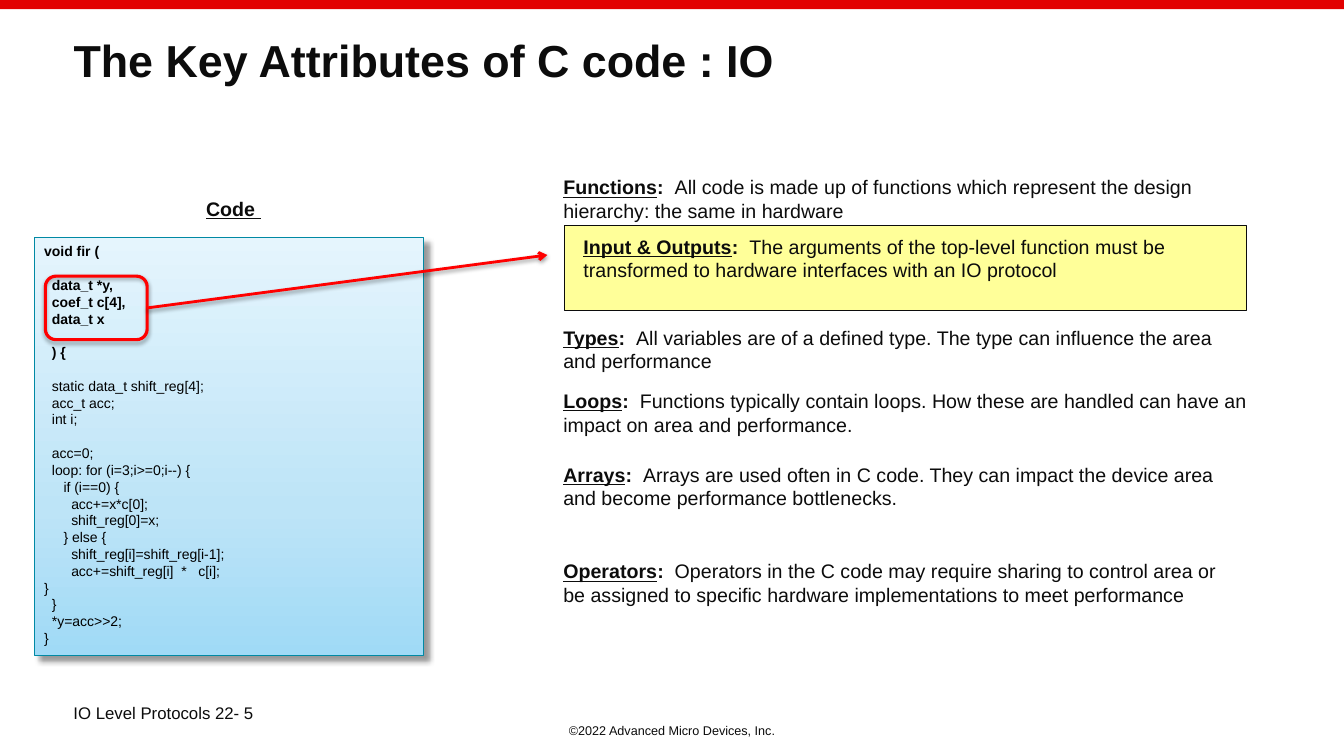
from copy import deepcopy
from dataclasses import dataclass

from lxml import etree
from pptx import Presentation
from pptx.dml.color import RGBColor
from pptx.enum.shapes import MSO_CONNECTOR, MSO_SHAPE
from pptx.enum.text import MSO_ANCHOR, PP_ALIGN
from pptx.oxml.ns import qn
from pptx.util import Inches, Pt

RECTANGLE, ROUNDED = MSO_SHAPE.RECTANGLE, MSO_SHAPE.ROUNDED_RECTANGLE
STRAIGHT = MSO_CONNECTOR.STRAIGHT
TOP = MSO_ANCHOR.TOP
LEFT, CENTER = PP_ALIGN.LEFT, PP_ALIGN.CENTER
CELL = Inches(0.25)
RIGHT_SIDE = 3


@dataclass(frozen=True)
class Theme:
    """Colours, font and type sizes of the slide."""
    font: str = "Arial"
    ink: str = "0C0C0C"
    black: str = "000000"
    bar: str = "E20000"
    mark: str = "FF0000"
    highlight: str = "FFFF99"
    panel_line: str = "0089A4"
    panel_stops: tuple = ((0, "A0DAF6"), (0.35, "BDE4F7"), (1, "E5F5FD"))
    title: int = 32
    body: int = 14
    footer: int = 12
    code: int = 10
    copyright: int = 9
    code_gap: int = 12


THEME = Theme()


@dataclass(frozen=True)
class Box:
    """A rectangle measured in grid cells."""
    left: float
    top: float
    width: float
    height: float

    def inner(self, left, top, width, height):
        """Return a box placed relative to this one."""
        return Box(self.left + left, self.top + top, width, height)

    def frame(self):
        """Return the box as slide lengths."""
        return [round(n * CELL) for n in (self.left, self.top, self.width, self.height)]


PAGE = Box(0, 0, 53.33, 30)
CODE_AREA = PAGE.inner(1.36, 7.6, 15.44, 18.4)
ATTRIBUTE_AREA = PAGE.inner(21.96, 6.76, 29.12, 17.52)

BOLD_CODE = """void fir (

  data_t *y,
  coef_t c[4],
  data_t x

  ) {"""

PLAIN_CODE = """  static data_t shift_reg[4];
  acc_t acc;
  int i;

  acc=0;
  loop: for (i=3;i>=0;i--) {
     if (i==0) {
       acc+=x*c[0];
       shift_reg[0]=x;
     } else {
       shift_reg[i]=shift_reg[i-1];
       acc+=shift_reg[i]  *   c[i];
}
  }
  *y=acc>>2;
}"""

ATTRIBUTES = [
    (0, 0, 27.32, "Functions", "All code is made up of functions which represent "
     "the design hierarchy: the same in hardware"),
    (0.8, 2.36, 27.32, "Input & Outputs", "The arguments of the top-level function must "
     "be transformed to hardware interfaces with an IO protocol"),
    (0, 5.96, 27.32, "Types", "All variables are of a defined type. The type can "
     "influence the area and performance"),
    (0, 8.48, 29.12, "Loops", "Functions typically contain loops. How these are handled "
     "can have an impact on area and performance."),
    (0, 11.4, 27.32, "Arrays", "Arrays are used often in C code. They can impact the "
     "device area and become performance bottlenecks."),
    (0, 15.24, 27.32, "Operators", "Operators in the C code may require sharing to control "
     "area or be assigned to specific hardware implementations to meet performance"),
]


def style(para, size, color=THEME.ink, bold=False, align=LEFT):
    """Format a whole paragraph."""
    para.alignment = align
    para.font.name, para.font.size, para.font.bold = THEME.font, Pt(size), bold
    para.font.color.rgb = RGBColor.from_string(color)


def add_text(slide, box, text, size, **look):
    """Add a wrapped text box and return its paragraph."""
    frame = slide.shapes.add_textbox(*box.frame()).text_frame
    frame.word_wrap = True
    para = frame.paragraphs[0]
    para.text = text
    style(para, size, **look)
    return para


def add_shape(slide, kind, box, fill=None, line=None, width=0.75):
    """Add a flat preset shape."""
    shape = slide.shapes.add_shape(kind, *box.frame())
    shape.shadow.inherit = False
    if fill:
        shape.fill.solid()
        shape.fill.fore_color.rgb = RGBColor.from_string(fill)
    else:
        shape.fill.background()
    if line:
        shape.line.color.rgb = RGBColor.from_string(line)
        shape.line.width = Pt(width)
    else:
        shape.line.fill.background()
    return shape


def add_shadow(shape, opacity, blur, distance, angle):
    """Give a shape an outer black shadow."""
    props = shape.element.spPr
    effects = props.find(qn("a:effectLst"))
    if effects is None:
        effects = etree.SubElement(props, qn("a:effectLst"))
    shadow = etree.SubElement(effects, qn("a:outerShdw"), blurRad=str(Pt(blur)),
                              dist=str(Pt(distance)), dir=str(angle * 60000),
                              algn="tl", rotWithShape="0")
    color = etree.SubElement(shadow, qn("a:srgbClr"), val=THEME.black)
    etree.SubElement(color, qn("a:alpha"), val=str(opacity * 1000))


def fill_gradient(shape, stops):
    """Fill a shape with three colours rising from its foot."""
    shape.fill.gradient()
    shape.fill.gradient_angle = 90
    stop_list = shape.element.spPr.find(".//" + qn("a:gsLst"))
    stop_list.append(deepcopy(stop_list[0]))
    for stop, (position, color) in zip(shape.fill.gradient_stops, stops):
        stop.position = position
        stop.color.rgb = RGBColor.from_string(color)


def write_code(frame, blocks):
    """Write code line by line, with a gap before each new group."""
    para = frame.paragraphs[0]
    for code, bold in blocks:
        for group in code.split("\n\n"):
            for index, line in enumerate(group.split("\n")):
                if para.text:
                    para = frame.add_paragraph()
                    para.space_before = Pt(0 if index else THEME.code_gap)
                para.text = line
                style(para, THEME.code, THEME.black, bold)


def build_frame(slide, box):
    """Place the top bar, title and footer lines."""
    add_shape(slide, RECTANGLE, box.inner(0, 0, box.width, 0.36), THEME.bar)
    title = slide.shapes.title
    title.left, title.top, title.width, title.height = box.inner(2.52, 1.32, 48.28, 4.28).frame()
    title.text_frame.text = "The Key Attributes of C code : IO"
    title.text_frame.vertical_anchor = TOP
    title.text_frame.word_wrap = True
    para = title.text_frame.paragraphs[0]
    para.line_spacing = 0.9
    style(para, THEME.title, bold=True)
    add_text(slide, box.inner(2.52, 27.68, 9.64, 1.6), "IO Level Protocols 22- 5", THEME.footer)
    add_text(slide, box.inner(0, 28.48, box.width, 1), "©2022 Advanced Micro Devices, Inc.",
             THEME.copyright, align=CENTER)


def build_code(slide, box):
    """Place the code panel and return the outline round its arguments."""
    heading = add_text(slide, box.inner(3.12, 0, 9.56, 1.36), "Code ", THEME.body,
                       bold=True, align=CENTER)
    heading.font.underline = True
    panel = add_shape(slide, RECTANGLE, box.inner(0, 1.84, box.width, 16.56),
                      line=THEME.panel_line)
    fill_gradient(panel, THEME.panel_stops)
    add_shadow(panel, 40, 4, 5, 45)
    panel.text_frame.word_wrap = True
    panel.text_frame.vertical_anchor = TOP
    write_code(panel.text_frame, [(BOLD_CODE, True), (PLAIN_CODE, False)])
    outline = add_shape(slide, ROUNDED, box.inner(0.44, 3.36, 4.04, 2.52),
                        line=THEME.mark, width=2.25)
    add_shadow(outline, 35, 3.1, 1.8, 90)
    return outline


def build_attributes(slide, box):
    """Place the highlighted list of code attributes."""
    add_shape(slide, RECTANGLE, box.inner(0.44, 2.2, 27.08, 3.36), THEME.highlight, THEME.ink)
    for left, top, width, name, meaning in ATTRIBUTES:
        para = add_text(slide, box.inner(left, top, width, 2.28), "", THEME.body)
        for text, bold, underline in ((name, True, True), (":  ", True, False),
                                      (meaning, False, False)):
            span = para.add_run()
            span.text = text
            span.font.bold, span.font.underline = bold, underline


def link_arguments(slide, outline, box):
    """Draw the arrow from the arguments to the highlighted attribute."""
    end_x, end_y = box.inner(-0.24, 3.36, 0, 0).frame()[:2]
    arrow = slide.shapes.add_connector(STRAIGHT, 0, 0, end_x, end_y)
    arrow.begin_connect(outline, RIGHT_SIDE)
    arrow.line.color.rgb = RGBColor.from_string(THEME.mark)
    arrow.line.width = Pt(2)
    etree.SubElement(arrow.element.spPr.find(qn("a:ln")), qn("a:tailEnd"), type="arrow")
    add_shadow(arrow, 38, 3.1, 1.6, 90)


def main():
    """Build and save the deck."""
    deck = Presentation()
    deck.slide_width, deck.slide_height = PAGE.frame()[2:]
    slide = deck.slides.add_slide(deck.slide_layouts[5])
    build_frame(slide, PAGE)
    build_attributes(slide, ATTRIBUTE_AREA)
    outline = build_code(slide, CODE_AREA)
    link_arguments(slide, outline, ATTRIBUTE_AREA)
    deck.save("out.pptx")


if __name__ == "__main__":
    main()
